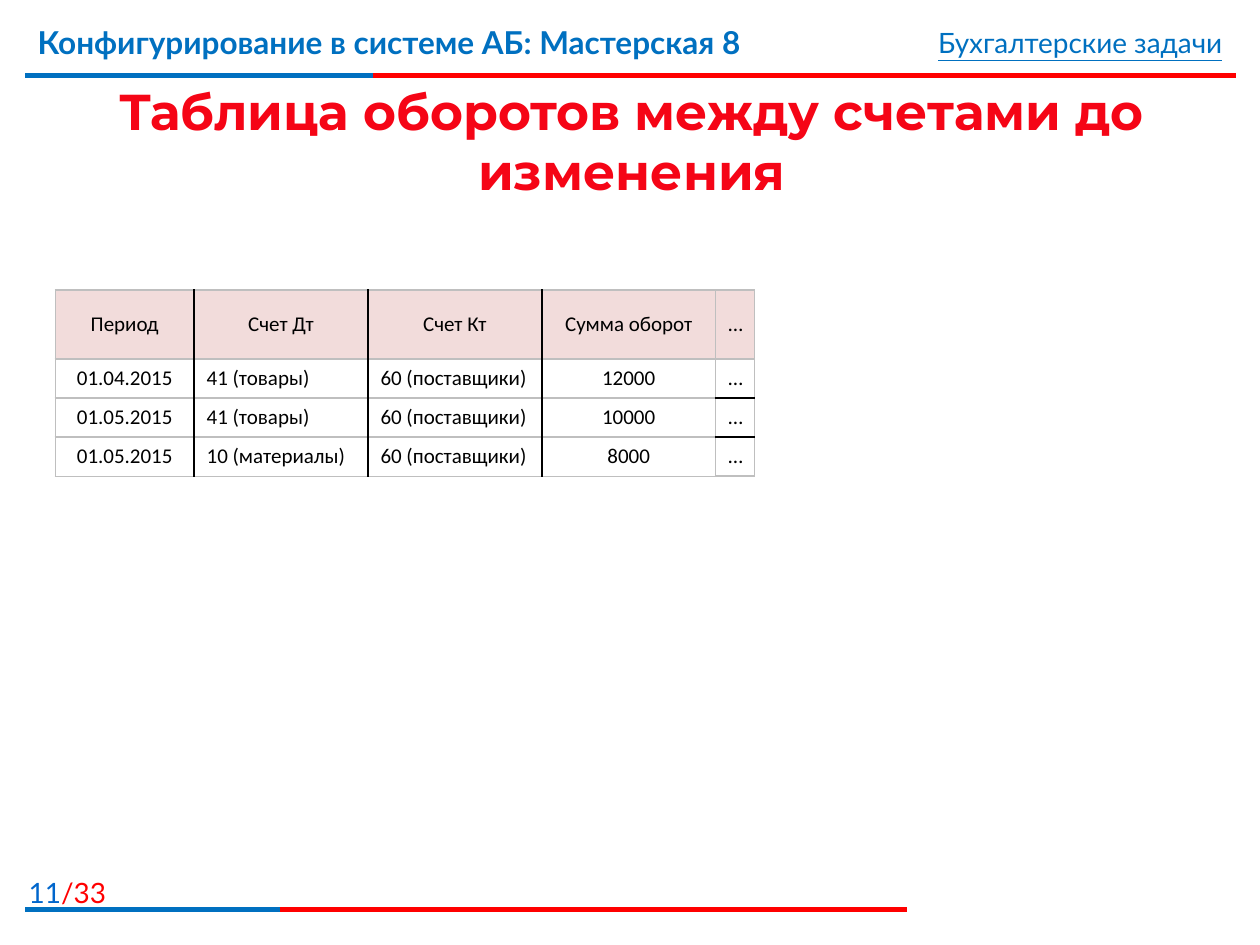
from lxml.etree import SubElement
from pptx import Presentation
from pptx.dml.color import RGBColor
from pptx.enum.shapes import MSO_CONNECTOR
from pptx.enum.text import MSO_ANCHOR, PP_ALIGN
from pptx.oxml import parse_xml
from pptx.oxml.ns import nsdecls, qn
from pptx.util import Pt

SCALE = 9144  # EMU per px, 100 px to the inch
BLUE, RED, PINK, WHITE = "0070C0", "FF0000", "F2DCDB", "FFFFFF"
BLACK, GRAY = "000000", "BFBFBF"
LEFT, MID, RIGHT = PP_ALIGN.LEFT, PP_ALIGN.CENTER, PP_ALIGN.RIGHT


def px(n):
    return n * SCALE


def color(code):
    return RGBColor.from_string(code)


class Deck:
    def __init__(self, wide, high):
        self.prs = Presentation()
        self.prs.slide_width, self.prs.slide_height = px(wide), px(high)
        self.slide = self.prs.slides.add_slide(self.prs.slide_layouts[6])
        self.font = "Lato"

    def run(self, par, text, size, code, font=None, bold=False, under=False):
        run = par.add_run()
        run.text = text
        face = run.font
        face.name, face.size = font or self.font, Pt(size)
        face.bold, face.underline = bold, under
        face.color.rgb = color(code)

    def text(self, box, runs, align=LEFT, anchor=MSO_ANCHOR.TOP, **look):
        frame = self.slide.shapes.add_textbox(*map(px, box)).text_frame
        frame.word_wrap = True
        frame.vertical_anchor = anchor
        par = frame.paragraphs[0]
        par.alignment = align
        for text, size, code in runs:
            self.run(par, text, size, code, **look)

    def line(self, left, right, y, code):
        line = self.slide.shapes.add_connector(
            MSO_CONNECTOR.STRAIGHT, px(left), px(y), px(right), px(y))
        line.line.color.rgb = color(code)
        line.line.width = Pt(3)
        SubElement(line._element.spPr, qn("a:effectLst"))

    def edges(self, cell, codes):
        props = cell._tc.get_or_add_tcPr()
        for at, (side, code) in enumerate(zip("LRTB", codes)):
            props.insert(at, parse_xml(
                f'<a:ln{side} {nsdecls("a")} w="12700"><a:solidFill>'
                f'<a:srgbClr val="{code}"/></a:solidFill></a:ln{side}>'))

    def table(self, left, top, cols, high, rows, aligns, fill=None):
        table = self.slide.shapes.add_table(
            len(rows), len(cols), px(left), px(top),
            px(sum(cols)), px(high * len(rows))).table
        table.first_row = table.horz_banding = False
        for col, wide in zip(table.columns, cols):
            col.width = px(wide)
        for r, row in enumerate(rows):
            table.rows[r].height = px(high)
            for c, text in enumerate(row):
                cell = table.cell(r, c)
                cell.vertical_anchor = MSO_ANCHOR.MIDDLE
                if fill:
                    cell.fill.solid()
                    cell.fill.fore_color.rgb = color(fill)
                else:
                    cell.fill.background()
                # Gray frame, black inner lines
                outer = (c == 0, c == len(cols) - 1,
                         r == 0, r == len(rows) - 1)
                self.edges(cell, [GRAY if out else BLACK for out in outer])
                par = cell.text_frame.paragraphs[0]
                par.alignment = aligns[c]
                self.run(par, text, 12, BLACK, font="Calibri")


def main():
    deck = Deck(1000, 750)

    # Header and footer rules
    for y, end, split in ((60, 981, 296), (722, 720, 222)):
        deck.line(20, end, y, RED)
        deck.line(20, split, y, BLUE)

    # Page number and header
    deck.text((0, 690, 94, 32), [("11", 16, "0066CC"), ("/33", 16, RED)], RIGHT)
    deck.text((20, 13, 740, 62),
              [("Конфигурирование в системе АБ: Мастерская 8", 18, BLUE)],
              bold=True)
    deck.text((594, 15, 386, 37), [("Бухгалтерские задачи", 16, BLUE)],
              RIGHT, under=True)

    # Title
    deck.text((21, 63, 961, 97),
              [("Таблица оборотов между счетами до изменения", 28.8, "F50516")],
              MID, MSO_ANCHOR.MIDDLE, font="Montserrat", bold=True)

    # Turnover table: head strip, then one strip per entry
    cols = [110, 138, 138, 138]
    left, top, head, step = 44, 230, 55, 31
    deck.table(left, top, cols, head,
               [("Период", "Счет Дт", "Счет Кт", "Сумма оборот")],
               [MID] * 4, PINK)
    entries = [
        ("01.04.2015", "41 (товары)", "60 (поставщики)", "12000"),
        ("01.05.2015", "41 (товары)", "60 (поставщики)", "10000"),
        ("01.05.2015", "10 (материалы)", "60 (поставщики)", "8000"),
    ]
    for n, entry in enumerate(entries):
        deck.table(left, top + head + n * step, cols, step, [entry],
                   [MID, LEFT, LEFT, MID])

    # Column of further fields
    side = left + sum(cols)
    deck.table(side, top, [step], head, [("…",)], [MID], PINK)
    deck.table(side, top + head, [step], step, [("…",)] * len(entries),
               [LEFT], WHITE)

    deck.prs.save("out.pptx")


if __name__ == "__main__":
    main()
